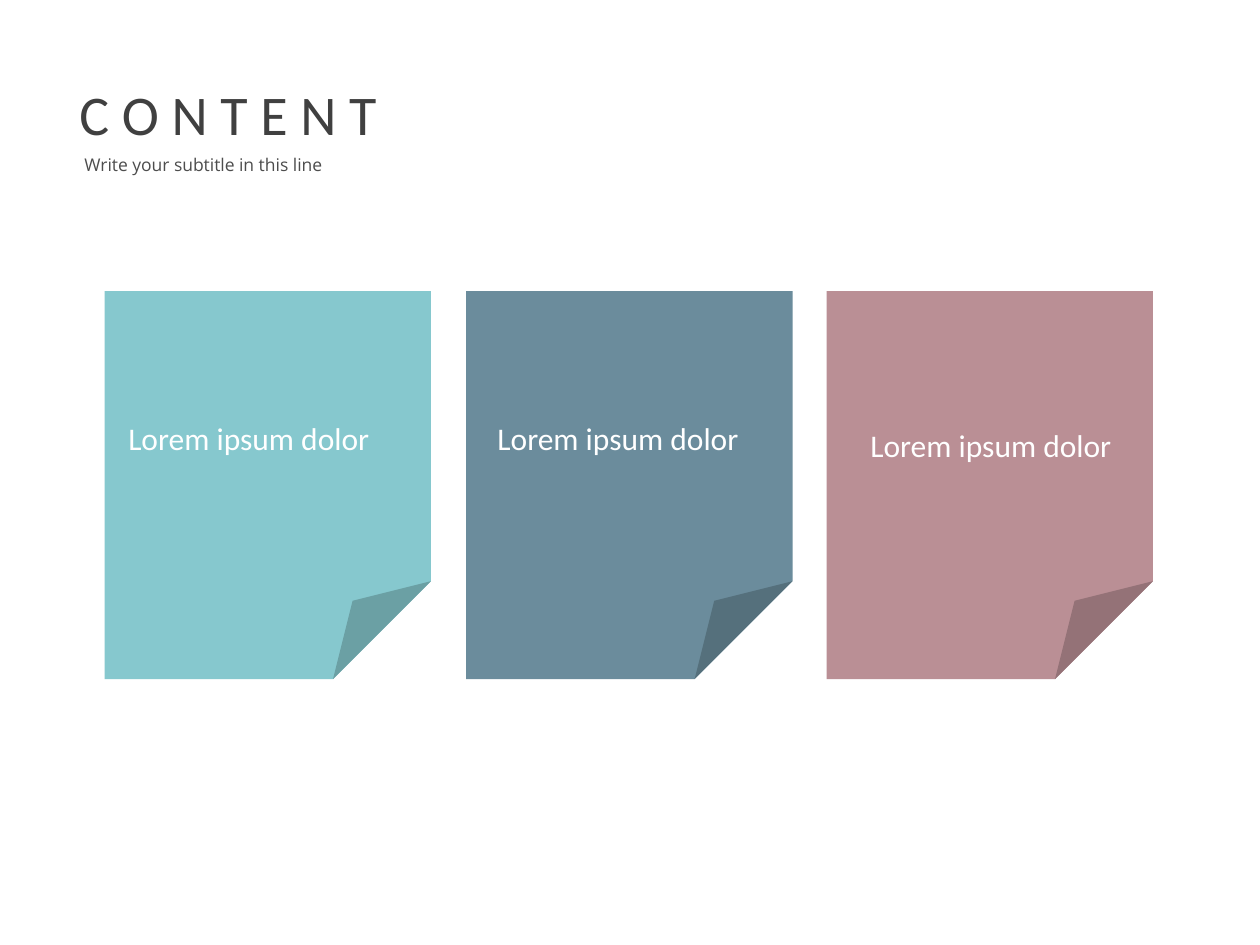
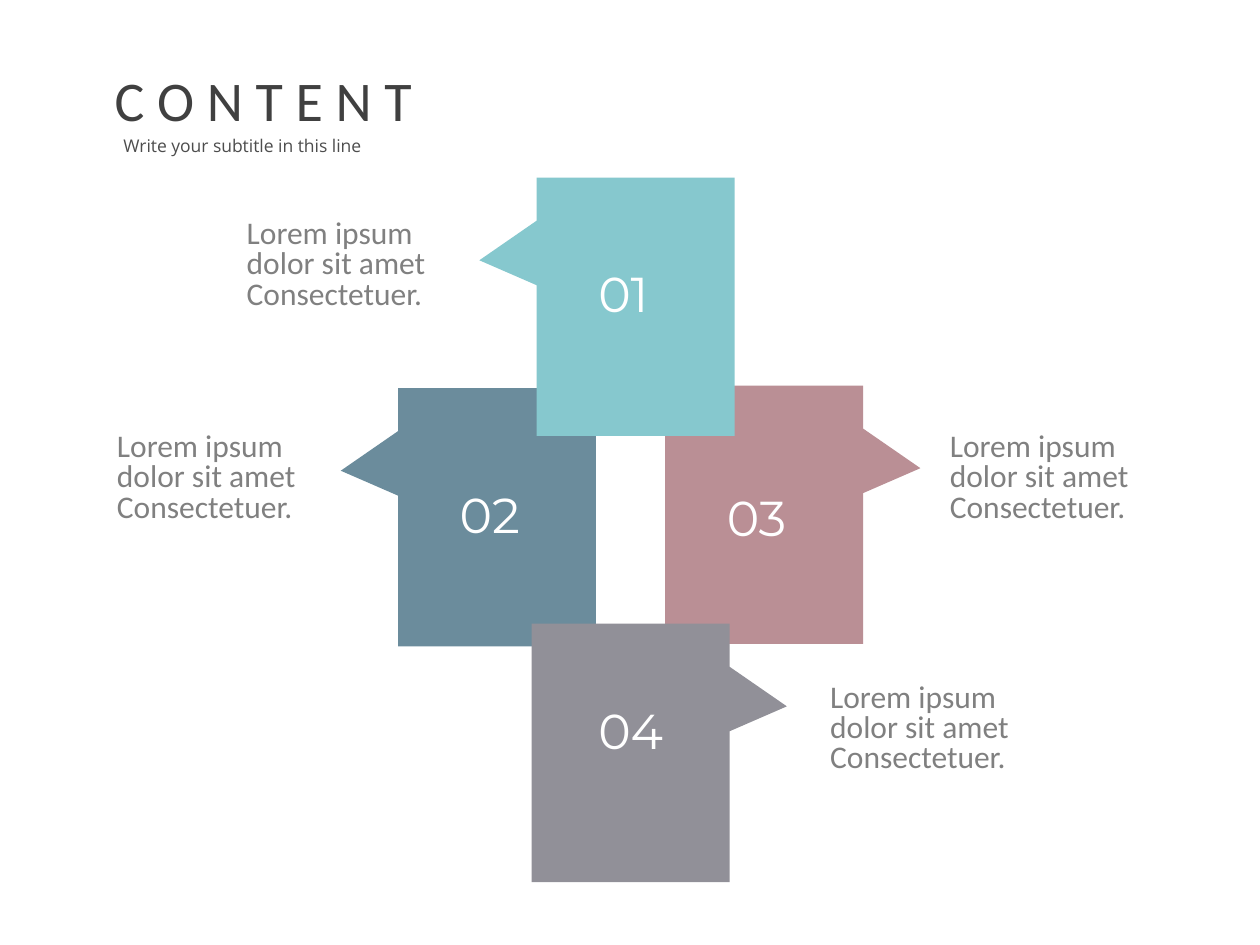
from dataclasses import dataclass

from lxml.etree import SubElement
from pptx import Presentation
from pptx.dml.color import RGBColor as RGB
from pptx.enum.shapes import MSO_SHAPE as SHAPE
from pptx.enum.text import MSO_ANCHOR as ANCHOR, MSO_AUTO_SIZE as AUTO_SIZE, PP_ALIGN as ALIGN
from pptx.oxml.ns import qn
from pptx.util import Inches, Pt


@dataclass(frozen=True)
class TextStyle:
    font: str
    size: int
    color: str


@dataclass(frozen=True)
class Theme:
    teal: str = "86C8CE"
    blue: str = "6B8C9C"
    rose: str = "BA8F95"
    gray: str = "919098"
    title: TextStyle = TextStyle("Calibri", 32, "404040")
    subtitle: TextStyle = TextStyle("Open Sans", 10, "4D4D4D")
    note: TextStyle = TextStyle("Calibri", 18, "FFFFFF")
    number: TextStyle = TextStyle("Montserrat", 28, "FFFFFF")
    caption: TextStyle = TextStyle("Calibri", 18, "808080")


THEME = Theme()
TITLE_ONLY = 5
NOTE_TEXT = "Lorem ipsum dolor"
CAPTION_LINES = ("Lorem ipsum", "dolor sit amet", "Consectetuer.")

NOTE_TOP, NOTE_WIDTH, NOTE_HEIGHT = 2.31, 2.59, 3.08
NOTE_FOLD = 0.3
NOTES = (
    (THEME.teal, 0.83, (0.92, 3.28)),
    (THEME.blue, 3.7, (3.85, 3.28)),
    (THEME.rose, 6.56, (6.81, 3.33)),
)

CARD_WIDTH, CARD_HEIGHT = 1.57, 2.05
POINTER_REACH, POINTER_RISE = 0.79, -0.18
LEFT, RIGHT = -1, 1
STEPS = (
    ("03", THEME.rose, RIGHT, (5.28, 3.06), (5.67, 3.82), (7.44, 3.39)),
    ("02", THEME.blue, LEFT, (3.16, 3.08), (3.55, 3.8), (0.83, 3.39)),
    ("01", THEME.teal, LEFT, (4.26, 1.41), (4.65, 2.04), (1.86, 1.7)),
    ("04", THEME.gray, RIGHT, (4.22, 4.95), (4.65, 5.51), (6.49, 5.38)),
)


def fill_text(frame, lines, style, spacing=None):
    for index, line in enumerate(lines):
        paragraph = frame.add_paragraph() if index else frame.paragraphs[0]
        paragraph.alignment = ALIGN.LEFT
        if spacing:
            paragraph.line_spacing = spacing
        run = paragraph.add_run()
        run.text = line
        run.font.name = style.font
        run.font.size = Pt(style.size)
        run.font.color.rgb = RGB.from_string(style.color)


def add_text(slide, position, size, lines, style, wrap=True, spacing=None):
    box = slide.shapes.add_textbox(*map(Inches, position + size))
    box.text_frame.word_wrap = wrap
    fill_text(box.text_frame, lines, style, spacing)
    return box


def add_panel(slide, kind, position, size, color, guides):
    panel = slide.shapes.add_shape(kind, *map(Inches, position + size))
    panel.shadow.inherit = False
    panel.fill.solid()
    panel.fill.fore_color.rgb = RGB.from_string(color)
    panel.line.fill.background()
    guide_list = next(panel.element.iter(qn("a:avLst")))
    for guide in list(guide_list):
        guide_list.remove(guide)
    for name, value in guides.items():
        SubElement(guide_list, qn("a:gd"), name=name, fmla=f"val {round(value * 100000)}")


def add_headed_slide(deck, title_position, subtitle_position):
    slide = deck.slides.add_slide(deck.slide_layouts[TITLE_ONLY])
    title = slide.shapes.title
    title.left, title.top = map(Inches, title_position)
    title.width, title.height = Inches(2.59), Inches(0.64)
    heading = title.text_frame
    heading.auto_size = AUTO_SIZE.NONE
    heading.vertical_anchor = ANCHOR.TOP
    heading.word_wrap = False
    fill_text(heading, ["C O N T E N T"], THEME.title)

    subtitle = add_text(slide, subtitle_position, (2.09, 0.23),
                        ["Write your subtitle in this line"], THEME.subtitle).text_frame
    subtitle.margin_left = subtitle.margin_right = 0
    subtitle.margin_top = subtitle.margin_bottom = 0
    return slide


def add_note(slide, color, left, text_position):
    add_panel(slide, SHAPE.FOLDED_CORNER, (left, NOTE_TOP),
              (NOTE_WIDTH, NOTE_HEIGHT), color, {"adj": NOTE_FOLD})
    add_text(slide, text_position, (2.2, 0.4), [NOTE_TEXT], THEME.note, wrap=False)


def add_step(slide, number, color, side, card_position, number_position, caption_position):
    pointer = {"adj1": side * POINTER_REACH, "adj2": POINTER_RISE}
    add_panel(slide, SHAPE.RECTANGULAR_CALLOUT, card_position,
              (CARD_WIDTH, CARD_HEIGHT), color, pointer)
    add_text(slide, number_position, (0.79, 0.57), [number], THEME.number)
    add_text(slide, caption_position, (1.81, 0.83), CAPTION_LINES, THEME.caption, spacing=0.8)


def main():
    deck = Presentation()
    deck.slide_width, deck.slide_height = Inches(10), Inches(7.5)

    notes_slide = add_headed_slide(deck, (0.53, 0.58), (0.67, 1.22))
    for note in NOTES:
        add_note(notes_slide, *note)

    steps_slide = add_headed_slide(deck, (0.81, 0.47), (0.98, 1.07))
    for step in STEPS:
        add_step(steps_slide, *step)

    deck.save("out.pptx")


if __name__ == "__main__":
    main()
